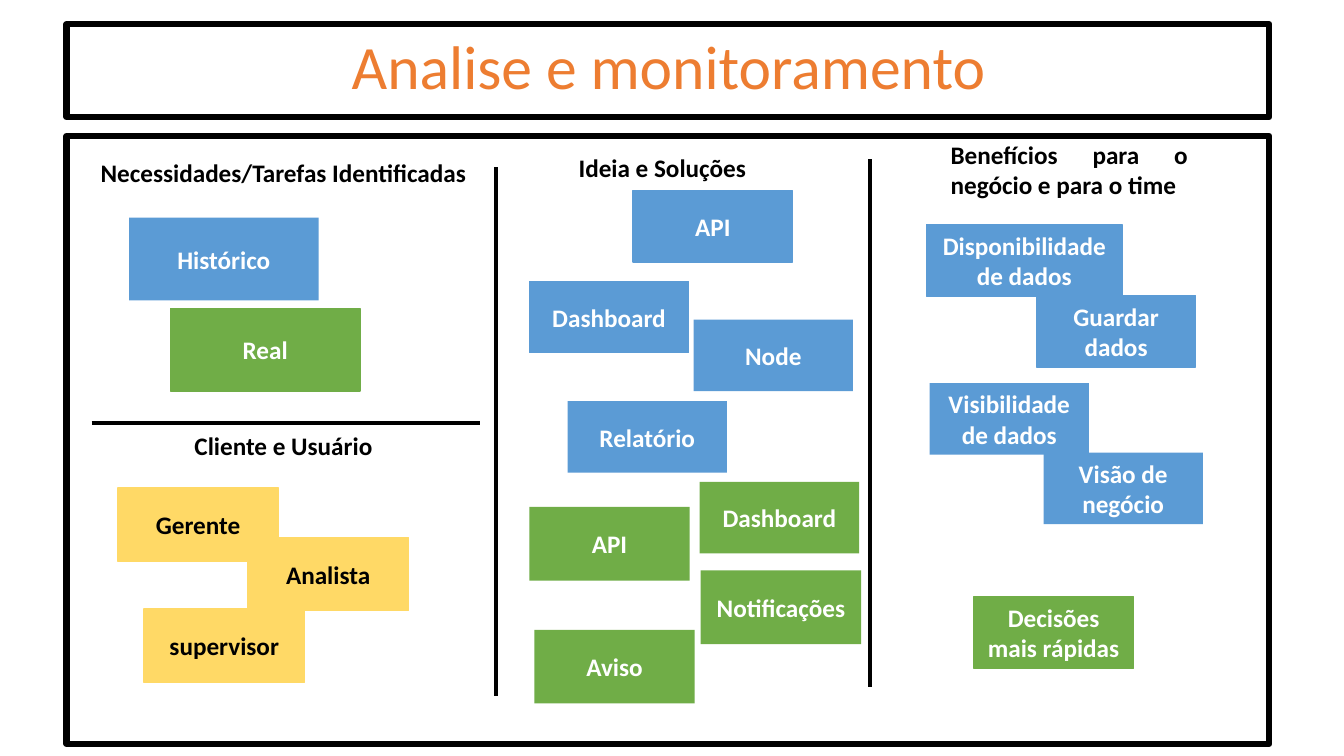
from lxml import etree
from pptx import Presentation
from pptx import util as u
from pptx.dml.color import RGBColor
from pptx.enum import shapes, text
from pptx.oxml import ns

BLACK = RGBColor(0, 0, 0)
WHITE = RGBColor(255, 255, 255)
BLUE = RGBColor(0x5B, 0x9B, 0xD5)
GREEN = RGBColor(0x70, 0xAD, 0x47)
YELLOW = RGBColor(0xFF, 0xD9, 0x66)
ORANGE = RGBColor(0xED, 0x7D, 0x31)

SMALL, MID = (1.58, 0.71), (1.59, 0.73)
BIG, WIDE = (1.88, 0.82), (1.94, 0.71)

FRAMES = [(0.66, 0.24, 11.93, 0.92), (0.66, 1.35, 11.93, 6.03)]
RULES = [
    (0.91, 4.2, 4.76, 4.2),
    (4.92, 1.66, 4.92, 6.9),
    (8.63, 1.58, 8.63, 6.82),
]
TITLE = {"size": u.Pt(44), "bold": False, "name": "Calibri"}
BODY = {"size": u.Pt(18), "bold": True, "name": "Calibri"}
LEFT, JUST = text.PP_ALIGN.LEFT, text.PP_ALIGN.JUSTIFY
HEADS = [
    ("Analise e monitoramento", (3.39, 0.23, 6.56, 0.84), TITLE, ORANGE, LEFT),
    ("Necessidades/Tarefas Identificadas", (0.9, 1.51, 3.86, 0.4), BODY, BLACK, LEFT),
    ("Ideia e Soluções", (5.64, 1.46, 1.87, 0.4), BODY, BLACK, LEFT),
    ("Benefícios para o negócio e para o time", (9.33, 1.33, 2.55, 0.71), BODY, BLACK, JUST),
    ("Cliente e Usuário", (1.83, 4.22, 1.98, 0.4), BODY, BLACK, LEFT),
]
NOTES = [
    ("Gerente", 1.17, 4.84, MID, YELLOW, True),
    ("Analista", 2.46, 5.33, MID, YELLOW, True),
    ("supervisor", 1.43, 6.04, MID, YELLOW, True),
    ("Histórico", 1.28, 2.16, BIG, BLUE, False),
    ("Real", 1.69, 3.06, BIG, GREEN, True),
    ("API", 6.28, 1.89, SMALL, BLUE, True),
    ("Dashboard", 5.25, 2.79, SMALL, BLUE, True),
    ("Node", 6.88, 3.17, SMALL, BLUE, False),
    ("Relatório", 5.63, 3.98, SMALL, BLUE, False),
    ("Dashboard", 6.94, 4.78, SMALL, GREEN, False),
    ("API", 5.25, 5.03, MID, GREEN, False),
    ("Notificações", 6.95, 5.66, MID, GREEN, False),
    ("Aviso", 5.3, 6.25, MID, GREEN, False),
    ("Disponibilidade de dados", 9.19, 2.23, WIDE, BLUE, True),
    ("Guardar dados", 10.28, 2.93, SMALL, BLUE, True),
    ("Visibilidade de dados", 9.22, 3.8, SMALL, BLUE, False),
    ("Visão de negócio", 10.35, 4.49, SMALL, BLUE, False),
    ("Decisões mais rápidas", 9.66, 5.92, SMALL, GREEN, True),
]


def inch(box):
    return [u.Inches(n) for n in box]


def write(shape, words, form, color, align):
    para = shape.text_frame.paragraphs[0]
    para.alignment = align
    run = para.add_run()
    run.text = words
    for key, val in form.items():
        setattr(run.font, key, val)
    run.font.color.rgb = color


def stroke(shape, color, width):
    shape.line.color.rgb = color
    shape.line.width = u.Pt(width)


def block(slide, box):
    shape = slide.shapes.add_shape(shapes.MSO_SHAPE.RECTANGLE, *inch(box))
    shape.shadow.inherit = False
    return shape


def frame(slide, box):
    shape = block(slide, box)
    shape.fill.background()
    stroke(shape, BLACK, 4.5)


def rule(slide, ends):
    line = slide.shapes.add_connector(shapes.MSO_CONNECTOR.STRAIGHT, *inch(ends))
    stroke(line, BLACK, 3)
    etree.SubElement(line._element.spPr, ns.qn("a:effectLst"))


def head(slide, words, box, form, color, align):
    label = slide.shapes.add_textbox(*inch(box))
    label.text_frame.word_wrap = align == JUST
    write(label, words, form, color, align)


def note(slide, words, left, top, size, color, lined):
    shape = block(slide, (left, top, *size))
    shape.fill.solid()
    shape.fill.fore_color.rgb = color
    if lined:
        stroke(shape, color, 1)
    else:
        shape.line.fill.background()
    shape.text_frame.word_wrap = True
    shape.text_frame.vertical_anchor = text.MSO_ANCHOR.MIDDLE
    ink = BLACK if color == YELLOW else WHITE
    write(shape, words, BODY, ink, text.PP_ALIGN.CENTER)


def main():
    deck = Presentation()
    deck.slide_width, deck.slide_height = inch((13.33, 7.5))
    slide = deck.slides.add_slide(deck.slide_layouts[6])
    for box in FRAMES:
        frame(slide, box)
    for ends in RULES:
        rule(slide, ends)
    for item in HEADS:
        head(slide, *item)
    for item in NOTES:
        note(slide, *item)
    deck.save("out.pptx")


if __name__ == "__main__":
    main()
